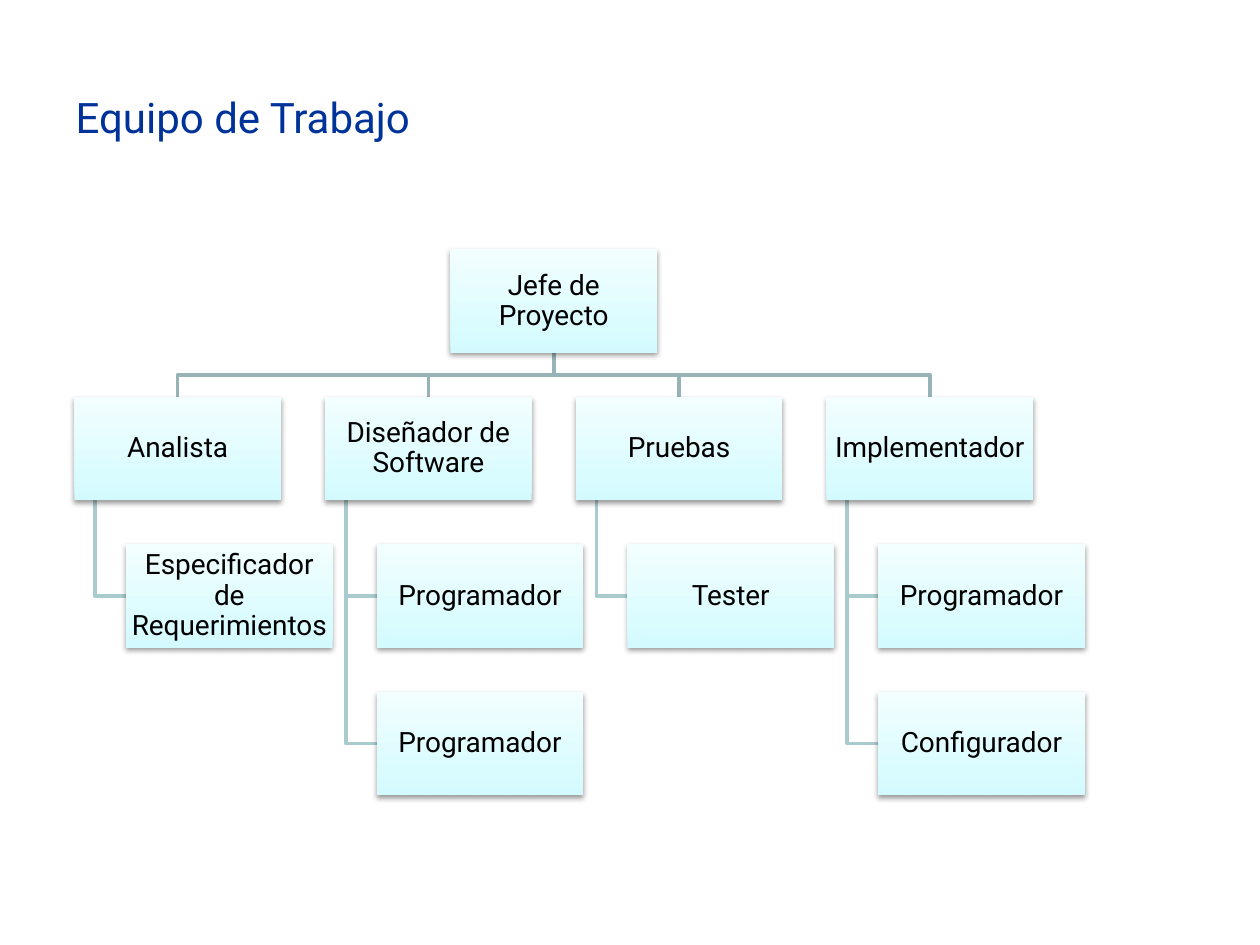
from lxml import etree
from pptx import Presentation
from pptx.dml.color import RGBColor
from pptx.enum.shapes import MSO_SHAPE
from pptx.enum.text import MSO_ANCHOR, PP_ALIGN
from pptx.oxml.ns import qn
from pptx.util import Inches, Pt

RECTANGLE = MSO_SHAPE.RECTANGLE
MIDDLE = MSO_ANCHOR.MIDDLE
LEFT, CENTER = PP_ALIGN.LEFT, PP_ALIGN.CENTER

TITLE = "Equipo de Trabajo"
LEADER = "Jefe de Proyecto"
TEAMS = [
    ("Analista", ["Especificador de Requerimientos"]),
    ("Diseñador de Software", ["Programador", "Programador"]),
    ("Pruebas", ["Tester"]),
    ("Implementador", ["Programador", "Configurador"]),
]

FONT = "Roboto"
NAVY = RGBColor(0x00, 0x33, 0x99)
BLACK = RGBColor(0x00, 0x00, 0x00)
BOX_BOTTOM = RGBColor(0xD3, 0xFB, 0xFF)
BOX_TOP = RGBColor(0xF2, 0xFE, 0xFF)
LEADER_LINE = RGBColor(0x96, 0xB3, 0xB6)
TEAM_LINE = RGBColor(0xAA, 0xCB, 0xCE)

# Chart grid, in inches
CHART_LEFT, CHART_TOP = 0.59, 1.98
BOX_WIDTH, BOX_HEIGHT = 1.64, 0.82
COLUMN_STEP, ROW_STEP = 1.99, 1.17
INDENT = BOX_WIDTH / 4
TRUNK_OFFSET = BOX_WIDTH / 10


def row_top(row):
    return CHART_TOP + row * ROW_STEP


def write(frame, text, size, color, align):
    frame.word_wrap = True
    frame.vertical_anchor = MIDDLE
    para = frame.paragraphs[0]
    para.alignment = align
    span = para.add_run()
    span.text = text
    span.font.name = FONT
    span.font.size = Pt(size)
    span.font.color.rgb = color
    return para


def add_soft_shadow(shape):
    shape.shadow.inherit = False
    effects = shape._element.spPr.find(qn("a:effectLst"))
    shadow = etree.SubElement(effects, qn("a:outerShdw"), blurRad=str(Pt(3.1)),
                              dist=str(Pt(1.6)), dir="5400000", rotWithShape="0")
    color = etree.SubElement(shadow, qn("a:srgbClr"), val="000000")
    etree.SubElement(color, qn("a:alpha"), val="38000")


def add_box(page, text, left, top):
    box = page.shapes.add_shape(RECTANGLE, Inches(left), Inches(top),
                                Inches(BOX_WIDTH), Inches(BOX_HEIGHT))
    box.fill.gradient()
    box.fill.gradient_angle = 90
    for stop, color in zip(box.fill.gradient_stops, (BOX_BOTTOM, BOX_TOP)):
        stop.color.rgb = color
    box.line.fill.background()
    add_soft_shadow(box)
    frame = box.text_frame
    frame.margin_left = frame.margin_right = Inches(0.01)
    frame.margin_top = frame.margin_bottom = Inches(0.01)
    write(frame, text, 16, BLACK, CENTER).line_spacing = 0.9


def add_elbow(page, points, color):
    start, *rest = [(Inches(x), Inches(y)) for x, y in points]
    builder = page.shapes.build_freeform(*start)
    builder.add_line_segments(rest, close=False)
    elbow = builder.convert_to_shape()
    elbow.fill.background()
    elbow.line.color.rgb = color
    elbow.line.width = Pt(2)
    elbow.shadow.inherit = False


def add_chart_tree(page):
    leader_left = CHART_LEFT + COLUMN_STEP * (len(TEAMS) - 1) / 2
    leader_center = leader_left + BOX_WIDTH / 2
    leader_bottom = row_top(0) + BOX_HEIGHT
    team_bottom = row_top(1) + BOX_HEIGHT
    bus = (leader_bottom + row_top(1)) / 2

    boxes = [(LEADER, leader_left, row_top(0))]
    for column, (role, members) in enumerate(TEAMS):
        left = CHART_LEFT + column * COLUMN_STEP
        center, trunk = left + BOX_WIDTH / 2, left + TRUNK_OFFSET
        boxes.append((role, left, row_top(1)))
        add_elbow(page, [(leader_center, leader_bottom), (leader_center, bus),
                         (center, bus), (center, row_top(1))], LEADER_LINE)
        for row, member in enumerate(members, start=2):
            member_left, top = left + INDENT, row_top(row)
            middle = top + BOX_HEIGHT / 2
            boxes.append((member, member_left, top))
            add_elbow(page, [(trunk, team_bottom), (trunk, middle),
                             (member_left, middle)], TEAM_LINE)
    for text, left, top in boxes:
        add_box(page, text, left, top)


def main():
    deck = Presentation()
    deck.slide_width, deck.slide_height = Inches(10), Inches(7.5)
    page = deck.slides.add_slide(deck.slide_layouts[5])
    title = page.shapes.title
    title.left, title.top = Inches(0.5), Inches(0.3)
    title.width, title.height = Inches(8.2), Inches(1.25)
    write(title.text_frame, TITLE, 24, NAVY, LEFT)
    add_chart_tree(page)
    deck.save("out.pptx")


if __name__ == "__main__":
    main()
